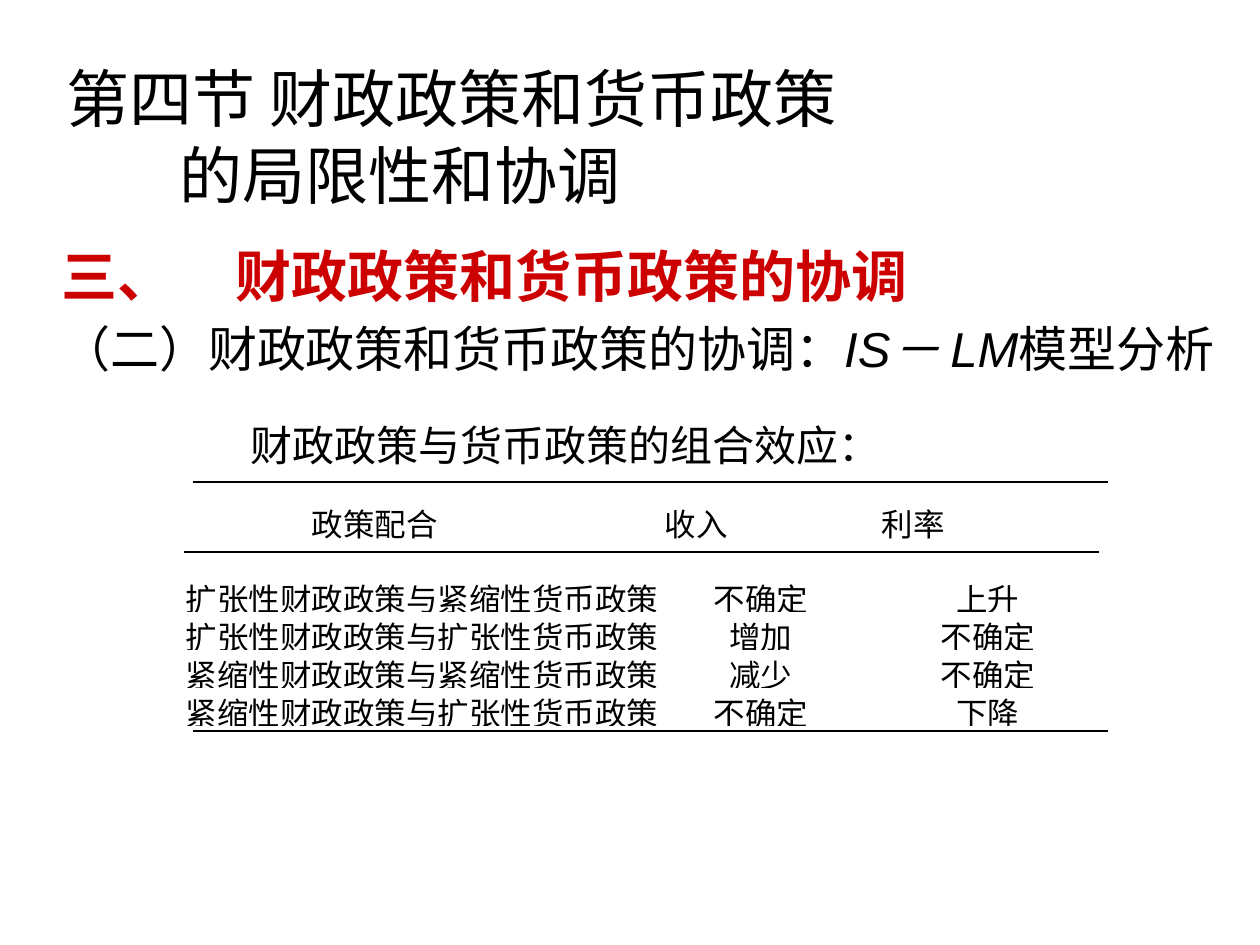
from dataclasses import dataclass

import pptx
import pptx.dml.color
import pptx.enum.shapes
import pptx.enum.text
import pptx.oxml
import pptx.oxml.ns
import pptx.util

EMU_PER_PX = 914400 // 126
ALIGN = pptx.enum.text.PP_ALIGN
ANCHOR = pptx.enum.text.MSO_ANCHOR


@dataclass(frozen=True)
class Theme:
    ink: str = "000000"
    accent: str = "CC0000"
    title_font: str = "Noto Sans CJK SC"
    text_font: str = "Arial"
    title: int = 36
    heading: int = 32
    subheading: int = 28
    caption: int = 24
    cell: int = 18
    rule: float = 1.25


THEME = Theme()
HEADER = ["政策配合", "收入", "利率"]
EFFECTS = [
    ["扩张性财政政策与紧缩性货币政策", "不确定", "上升"],
    ["扩张性财政政策与扩张性货币政策", "增加", "不确定"],
    ["紧缩性财政政策与紧缩性货币政策", "减少", "不确定"],
    ["紧缩性财政政策与扩张性货币政策", "不确定", "下降"],
]


def px(length):
    return pptx.util.Emu(length * EMU_PER_PX)


def color(value):
    return pptx.dml.color.RGBColor.from_string(value)


def add_run(paragraph, text, size, ink=THEME.ink, face=THEME.text_font,
            bold=False, italic=False):
    run = paragraph.add_run()
    run.text = text
    font = run.font
    font.name, font.size = face, pptx.util.Pt(size)
    font.bold, font.italic = bold, italic
    font.color.rgb = color(ink)


def hang(paragraph, indent, tab=None):
    """Indent all lines but the first, with an optional tab stop."""
    properties = paragraph._p.get_or_add_pPr()
    properties.set("marL", str(px(indent)))
    properties.set("indent", str(px(-indent)))
    if tab:
        tabs = pptx.oxml.parse_xml(
            f'<a:tabLst {pptx.oxml.ns.nsdecls("a")}>'
            f'<a:tab pos="{px(tab)}" algn="l"/></a:tabLst>')
        properties.append(tabs)


def add_text_frame(slide, left, top, width, height):
    frame = slide.shapes.add_textbox(px(left), px(top), px(width), px(height)).text_frame
    frame.word_wrap = True
    return frame


def set_title(slide):
    title = slide.shapes.title
    title.left, title.top, title.width, title.height = px(54), px(76), px(1134), px(118)
    frame = title.text_frame
    frame.auto_size = pptx.enum.text.MSO_AUTO_SIZE.NONE
    frame.vertical_anchor = ANCHOR.MIDDLE
    heading = frame.paragraphs[0]
    heading.alignment = ALIGN.LEFT
    heading.line_spacing = pptx.util.Pt(44)
    hang(heading, 113)
    add_run(heading, "第四节 财政政策和货币政策", THEME.title, face=THEME.title_font)
    heading.add_line_break()
    add_run(heading, "的局限性和协调", THEME.title, face=THEME.title_font)


def add_outline(slide):
    frame = add_text_frame(slide, 49, 235, 1211, 200)
    section = frame.paragraphs[0]
    hang(section, 48, tab=137)
    add_run(section, "三、\t财政政策和货币政策的协调", THEME.heading, THEME.accent, bold=True)
    topic = frame.add_paragraph()
    hang(topic, 48)
    topic.space_before = pptx.util.Pt(5.6)
    add_run(topic, "（二）财政政策和货币政策的协调：", THEME.subheading)
    add_run(topic, "IS－ LM", THEME.subheading, italic=True)
    add_run(topic, "模型分析", THEME.subheading)


def add_caption(slide):
    caption = add_text_frame(slide, 123, 413, 886, 63).paragraphs[0]
    caption.alignment = ALIGN.CENTER
    add_run(caption, "财政政策与货币政策的组合效应：", THEME.caption)


def fill_cell(cell, text, margin_left, alignment):
    cell.fill.background()
    cell.margin_left = px(margin_left)
    cell.margin_right = cell.margin_top = cell.margin_bottom = 0
    cell.vertical_anchor = ANCHOR.TOP
    paragraph = cell.text_frame.paragraphs[0]
    paragraph.alignment = alignment
    add_run(paragraph, text, THEME.cell)


def add_effects_table(slide):
    widths, heights = [486, 202, 252], [75] + [38] * len(EFFECTS)
    table = slide.shapes.add_table(
        len(heights), len(widths), px(174), px(500), px(sum(widths)), px(sum(heights))).table
    table.first_row = table.horz_banding = False
    for column, width in zip(table.columns, widths):
        column.width = px(width)
    for row, height in zip(table.rows, heights):
        row.height = px(height)
    for c, (text, margin) in enumerate(zip(HEADER, [138, 5, 20])):
        fill_cell(table.cell(0, c), text, margin, ALIGN.LEFT)
    for r, effect in enumerate(EFFECTS, start=1):
        for c, text in enumerate(effect):
            first = c == 0
            fill_cell(table.cell(r, c), text, 12 if first else 0,
                      ALIGN.LEFT if first else ALIGN.CENTER)


def add_rule(slide, left, y, length=915):
    rule = slide.shapes.add_connector(
        pptx.enum.shapes.MSO_CONNECTOR.STRAIGHT, px(left), px(y), px(left + length), px(y))
    rule.line.color.rgb = color(THEME.ink)
    rule.line.width = pptx.util.Pt(THEME.rule)
    rule._element.spPr.append(
        pptx.oxml.parse_xml(f'<a:effectLst {pptx.oxml.ns.nsdecls("a")}/>'))


def main():
    deck = pptx.Presentation()
    deck.slide_width, deck.slide_height = px(1260), px(945)
    slide = deck.slides.add_slide(deck.slide_layouts.get_by_name("Title Only"))
    set_title(slide)
    add_outline(slide)
    add_caption(slide)
    add_effects_table(slide)
    for left, y in [(193, 482), (184, 552), (193, 731)]:
        add_rule(slide, left, y)
    deck.save("out.pptx")


if __name__ == "__main__":
    main()
